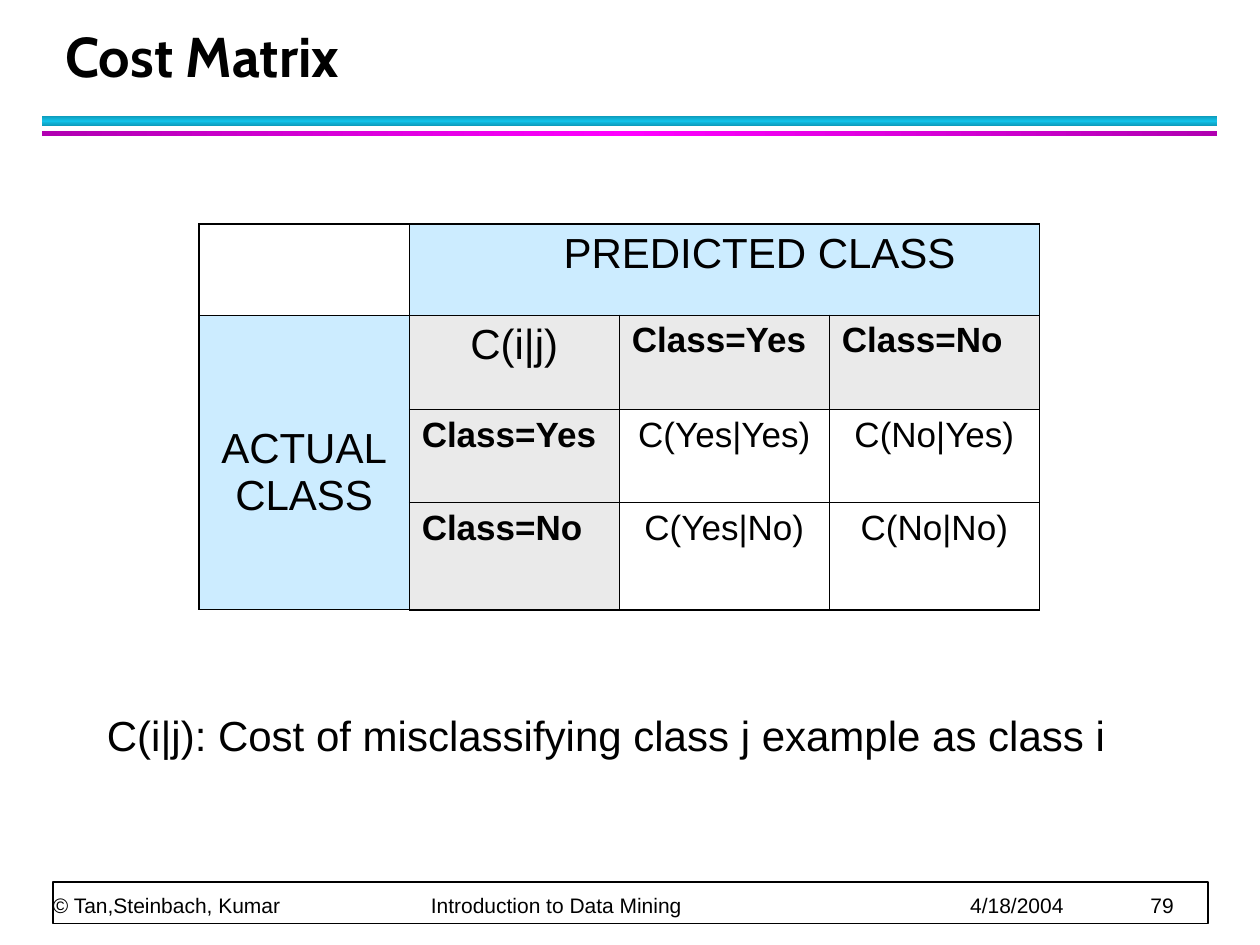
from typing import NamedTuple

from lxml.etree import SubElement
from pptx import Presentation
from pptx.dml.color import RGBColor
from pptx.enum.shapes import MSO_SHAPE
from pptx.enum.text import MSO_ANCHOR, PP_ALIGN
from pptx.oxml import parse_xml
from pptx.oxml.ns import nsdecls, qn
from pptx.util import Inches, Pt

BLACK, WHITE, SKY, GREY = "000000", "FFFFFF", "CCECFF", "EAEAEA"


class Bar(NamedTuple):
    top: float
    high: float
    edge: str
    mid: str
    angle: int


class Box(NamedTuple):
    text: str
    left: float
    top: float
    wide: float
    high: float
    size: int
    face: str = "Arial"
    bold: bool = False
    low: bool = False
    inset: bool = True
    line: int = 0
    before: int = 0


class Cell(NamedTuple):
    row: int
    col: int
    text: str
    fill: str = ""
    size: int = 20
    bold: bool = False
    left: float = 0.1
    top: float = 0.05


def color(code: str) -> RGBColor:
    return RGBColor.from_string(code)


def style(para, size: int, face: str = "Arial", bold: bool = False) -> None:
    font = para.font
    font.size, font.name, font.bold = Pt(size), face, bold
    font.color.rgb = color(BLACK)


def draw_rect(slide, left: float, top: float, wide: float, high: float):
    rect = slide.shapes.add_shape(
        MSO_SHAPE.RECTANGLE, Inches(left), Inches(top), Inches(wide), Inches(high))
    rect.shadow.inherit = False
    return rect


def draw_bar(slide, bar: Bar) -> None:
    rect = draw_rect(slide, 0.33, bar.top, 9.33, bar.high)
    rect.line.fill.background()
    stops = "".join(
        f'<a:gs pos="{pos}"><a:srgbClr val="{code}"/></a:gs>'
        for pos, code in ((0, bar.edge), (50000, bar.mid), (100000, bar.edge)))
    grad = parse_xml(
        f'<a:gradFill {nsdecls("a")}><a:gsLst>{stops}</a:gsLst>'
        f'<a:lin ang="{bar.angle * 60000}" scaled="0"/></a:gradFill>')
    rect.element.spPr.find(qn("a:prstGeom")).addnext(grad)


def draw_box(slide, box: Box):
    frame = slide.shapes.add_textbox(
        Inches(box.left), Inches(box.top), Inches(box.wide), Inches(box.high)).text_frame
    frame.word_wrap = True
    if box.low:
        frame.vertical_anchor = MSO_ANCHOR.BOTTOM
    if not box.inset:
        frame.margin_left = frame.margin_right = 0
        frame.margin_top = frame.margin_bottom = 0
    para = frame.paragraphs[0]
    para.text = box.text
    style(para, box.size, box.face, box.bold)
    if box.line:
        para.line_spacing = Pt(box.line)
    if box.before:
        para.space_before = Pt(box.before)
    return para


def set_tabs(para, stops: tuple[float, ...]) -> None:
    props = para._p.get_or_add_pPr()
    tabs = SubElement(props, qn("a:tabLst"))
    for stop in stops:
        SubElement(tabs, qn("a:tab"), pos=str(Inches(stop)), algn="l")
    props.find(qn("a:defRPr")).addprevious(tabs)


def set_edges(cell, row: int, col: int) -> None:
    props = cell._tc.get_or_add_tcPr()
    outer = {"lnL": col == 0, "lnR": col == 3, "lnT": row == 0, "lnB": row == 3}
    for spot, (name, thick) in enumerate(outer.items()):
        props.insert(spot, parse_xml(
            f'<a:{name} {nsdecls("a")} w="{Pt(1.08 if thick else 0.45)}">'
            f'<a:solidFill><a:srgbClr val="{BLACK}"/></a:solidFill></a:{name}>'))


def fill_cell(table, item: Cell) -> None:
    cell = table.cell(item.row, item.col)
    cell.margin_left, cell.margin_top = Inches(item.left), Inches(item.top)
    para = cell.text_frame.paragraphs[0]
    para.text = item.text
    style(para, item.size, bold=item.bold)
    para.alignment = PP_ALIGN.LEFT if item.bold else PP_ALIGN.CENTER
    para.space_before = Pt(item.size / 8)
    para.space_after = Pt(4)
    if item.fill:
        cell.fill.solid()
        cell.fill.fore_color.rgb = color(item.fill)


def draw_table(slide, items: list[Cell]) -> None:
    highs = (0.72, 0.75, 0.74, 0.85)
    table = slide.shapes.add_table(
        4, 4, Inches(1.58), Inches(1.78), Inches(6.67), Inches(sum(highs))).table
    table.first_row = table.horz_banding = False
    for row, high in zip(table.rows, highs):
        row.height = Inches(high)
    for row in range(4):
        for col in range(4):
            cell = table.cell(row, col)
            cell.fill.background()
            set_edges(cell, row, col)
    table.cell(0, 1).merge(table.cell(0, 3))
    table.cell(1, 0).merge(table.cell(3, 0))
    for item in items:
        fill_cell(table, item)


def main() -> None:
    deck = Presentation()
    deck.slide_width, deck.slide_height = Inches(10), Inches(7.5)
    slide = deck.slides.add_slide(deck.slide_layouts[6])

    # Rules below the title
    draw_bar(slide, Bar(0.92, 0.08, "0E9AB9", "12C2E9", 90))
    draw_bar(slide, Bar(1.04, 0.04, "B100B1", "FF00FF", 0))

    # Footer
    frame = draw_rect(slide, 0.42, 7, 9.17, 0.33)
    frame.fill.solid()
    frame.fill.fore_color.rgb = color(WHITE)
    frame.line.color.rgb = color(BLACK)
    frame.line.width = Pt(1)
    foot = draw_box(slide, Box(
        "© Tan,Steinbach, Kumar\tIntroduction to Data Mining\t4/18/2004\t79",
        0.42, 6.72, 9.15, 0.56, 12, low=True, inset=False, line=20))
    set_tabs(foot, (3, 7.28, 8.71))

    # Title
    draw_box(slide, Box("Cost Matrix", 0.42, 0.17, 9.06, 0.58, 32, "Cabin",
                        bold=True, low=True, line=36))

    # Cost matrix: predicted classes across, actual classes down
    items = [
        Cell(0, 1, "PREDICTED CLASS", SKY, 24, left=0.66),
        Cell(1, 0, "ACTUAL\vCLASS", SKY, 24, top=0.88),
        Cell(1, 1, "C(i|j)", GREY, 24),
    ]
    names = ("Yes", "No")
    for spot, name in enumerate(names, 2):
        items.append(Cell(1, spot, f"Class={name}", GREY, bold=True))
        items.append(Cell(spot, 1, f"Class={name}", GREY, bold=True))
        items += [Cell(spot, col, f"C({guess}|{name})")
                  for col, guess in enumerate(names, 2)]
    draw_table(slide, items)

    # Key to the notation
    draw_box(slide, Box("C(i|j): Cost of misclassifying class j example as class i",
                        0.75, 5.58, 8.58, 1, 24, before=15))
    deck.save("out.pptx")


if __name__ == "__main__":
    main()
